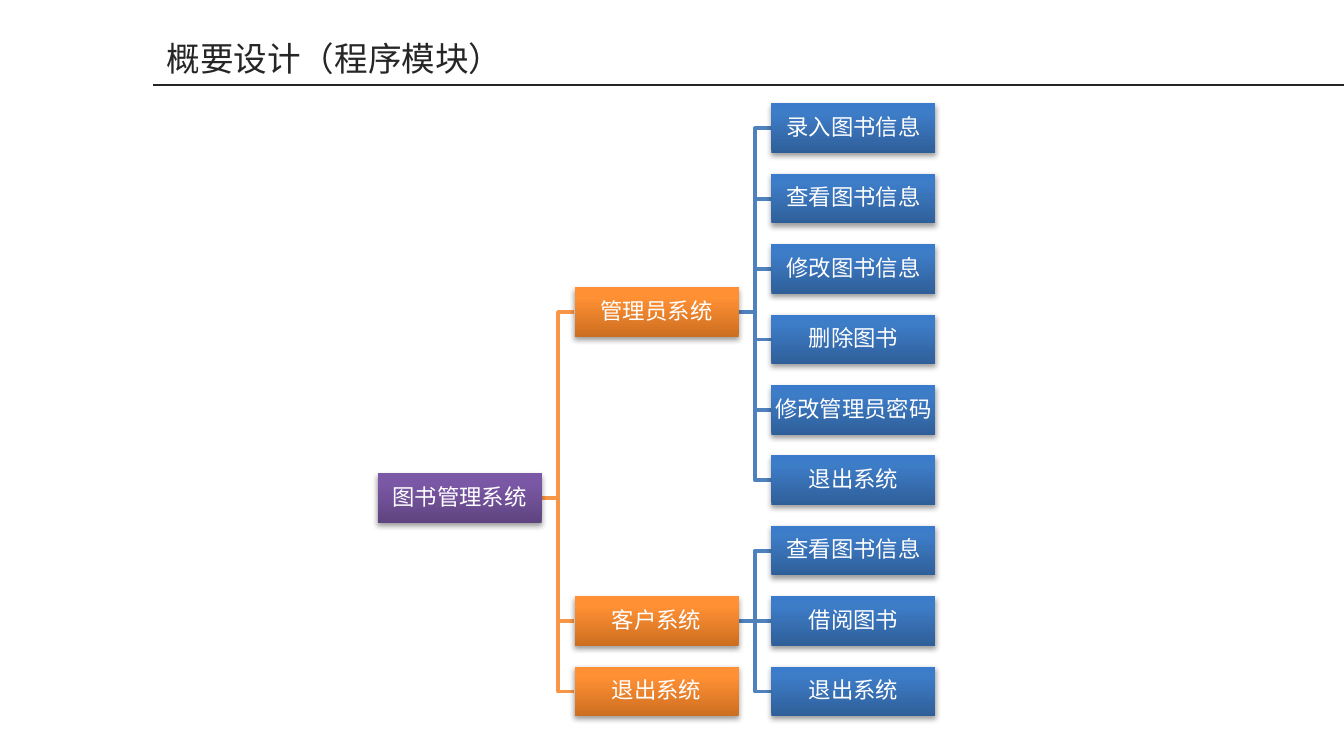
from lxml.etree import SubElement
from pptx import Presentation
from pptx.dml.color import RGBColor
from pptx.enum.shapes import MSO_CONNECTOR as Conn, MSO_SHAPE as Shape
from pptx.enum.text import MSO_ANCHOR as Anchor, MSO_AUTO_SIZE as AutoSize, PP_ALIGN as Align
from pptx.oxml import parse_xml
from pptx.oxml.ns import nsdecls, qn
from pptx.util import Inches, Pt

WIDTH = 10
HEIGHT = WIDTH * 9 / 16
BOX_W, BOX_H = 1.22, 0.37
LEFT, RIGHT, TOP, BOTTOM = 2.81, 5.74, 0.77, 4.96
COL_STEP = (RIGHT - LEFT) / 2
ROW_STEP = (BOTTOM - TOP) / 8

# Per column: gradient stops from bottom to top, and shadow distance in points
STYLES = [
    (("5F4480", "7B58A6", "7C57A8"), 1.8),
    (("CC6E20", "FF9034", "FF9136"), 1.6),
    (("2F5F99", "3D7CC7", "3A7CCB"), 1.6),
]
LINK_COLOURS = ["F79646", "4F81BD"]

# Each node: (text, grid row, children)
TREE = ("图书管理系统", 5.25, [
    ("管理员系统", 2.61, [
        ("录入图书信息", 0, []),
        ("查看图书信息", 1, []),
        ("修改图书信息", 2, []),
        ("删除图书", 3, []),
        ("修改管理员密码", 4, []),
        ("退出系统", 5, []),
    ]),
    ("客户系统", 7, [
        ("查看图书信息", 6, []),
        ("借阅图书", 7, []),
        ("退出系统", 8, []),
    ]),
    ("退出系统", 8, []),
])


def rgb(colour):
    return RGBColor.from_string(colour)


def cell(col, row):
    """Left and top of a grid cell, in inches."""
    return LEFT + col * COL_STEP, TOP + row * ROW_STEP


def add_run(p, text, font, size, colour):
    r = p.add_run()
    r.text = text
    r.font.name = font
    r.font.size = Pt(size)
    r.font.color.rgb = rgb(colour)
    return r


def style_line(sp, colour, width):
    sp.line.color.rgb = rgb(colour)
    sp.line.width = Pt(width)


def add_line(s, x1, y1, x2, y2, colour, width):
    line = s.shapes.add_connector(Conn.STRAIGHT, *map(Inches, (x1, y1, x2, y2)))
    style_line(line, colour, width)
    SubElement(line._element.spPr, qn("a:effectLst"))


def add_title(s, text):
    sp = s.shapes.add_textbox(*map(Inches, (1.14, 0.23, 2.73, 0.4)))
    tf = sp.text_frame
    tf.word_wrap = False
    tf.auto_size = AutoSize.SHAPE_TO_FIT_TEXT
    r = add_run(tf.paragraphs[0], text, "Noto Sans CJK SC", 18, "262626")
    SubElement(r.font._element, qn("a:ea"), typeface="Noto Sans CJK SC")
    add_line(s, 1.14, 0.63, WIDTH, 0.63, "262626", 1)


def add_link(s, col, row, child_row):
    """Elbow from a box to its child, or a straight line on the same row."""
    x1, y1 = cell(col, row)
    x2, y2 = cell(col + 1, child_row)
    x1, y1, y2 = x1 + BOX_W, y1 + BOX_H / 2, y2 + BOX_H / 2
    if row == child_row:
        add_line(s, x1, y1, x2, y2, LINK_COLOURS[col], 2)
        return
    mid = (x1 + x2) / 2
    points = [(Inches(x), Inches(y)) for x, y in ((x1, y1), (mid, y1), (mid, y2), (x2, y2))]
    builder = s.shapes.build_freeform(*points[0])
    builder.add_line_segments(points[1:], close=False)
    sp = builder.convert_to_shape()
    sp.fill.background()
    sp.shadow.inherit = False
    style_line(sp, LINK_COLOURS[col], 2)


def add_gradient_and_shadow(sp, colours, distance):
    stops = "".join(
        f'<a:gs pos="{pos}000"><a:srgbClr val="{colour}"/></a:gs>'
        for pos, colour in zip((0, 80, 100), colours))
    gradient = parse_xml(
        f'<a:gradFill {nsdecls("a")} rotWithShape="1"><a:gsLst>{stops}</a:gsLst>'
        '<a:lin ang="16200000" scaled="0"/></a:gradFill>')
    effects = parse_xml(
        f'<a:effectLst {nsdecls("a")}><a:outerShdw blurRad="{Pt(3.1)}" '
        f'dist="{Pt(distance)}" dir="5400000" rotWithShape="0">'
        '<a:srgbClr val="000000"><a:alpha val="38000"/></a:srgbClr>'
        '</a:outerShdw></a:effectLst>')
    sp.line.fill.background()
    spPr = sp._element.spPr
    spPr.find(qn("a:prstGeom")).addnext(gradient)
    spPr.find(qn("a:ln")).addnext(effects)


def add_box(s, text, col, row):
    sp = s.shapes.add_shape(Shape.RECTANGLE, *map(Inches, (*cell(col, row), BOX_W, BOX_H)))
    add_gradient_and_shadow(sp, *STYLES[col])
    tf = sp.text_frame
    tf.word_wrap = True
    tf.vertical_anchor = Anchor.MIDDLE
    tf.margin_left = tf.margin_right = tf.margin_top = tf.margin_bottom = Inches(0.01)
    p = tf.paragraphs[0]
    p.alignment = Align.CENTER
    p.line_spacing = 0.9
    p.space_after = Pt(4.2)
    add_run(p, text, "Calibri", 12, "FFFFFF")


def add_links(s, node, col=0):
    _, row, children = node
    for child in children:
        add_link(s, col, row, child[1])
        add_links(s, child, col + 1)


def add_boxes(s, node, col=0):
    text, row, children = node
    add_box(s, text, col, row)
    for child in children:
        add_boxes(s, child, col + 1)


def main():
    prs = Presentation()
    prs.slide_width, prs.slide_height = Inches(WIDTH), Inches(HEIGHT)
    s = prs.slides.add_slide(prs.slide_layouts[6])
    add_title(s, "概要设计（程序模块）")
    add_links(s, TREE)
    add_boxes(s, TREE)
    prs.save("out.pptx")


if __name__ == "__main__":
    main()
